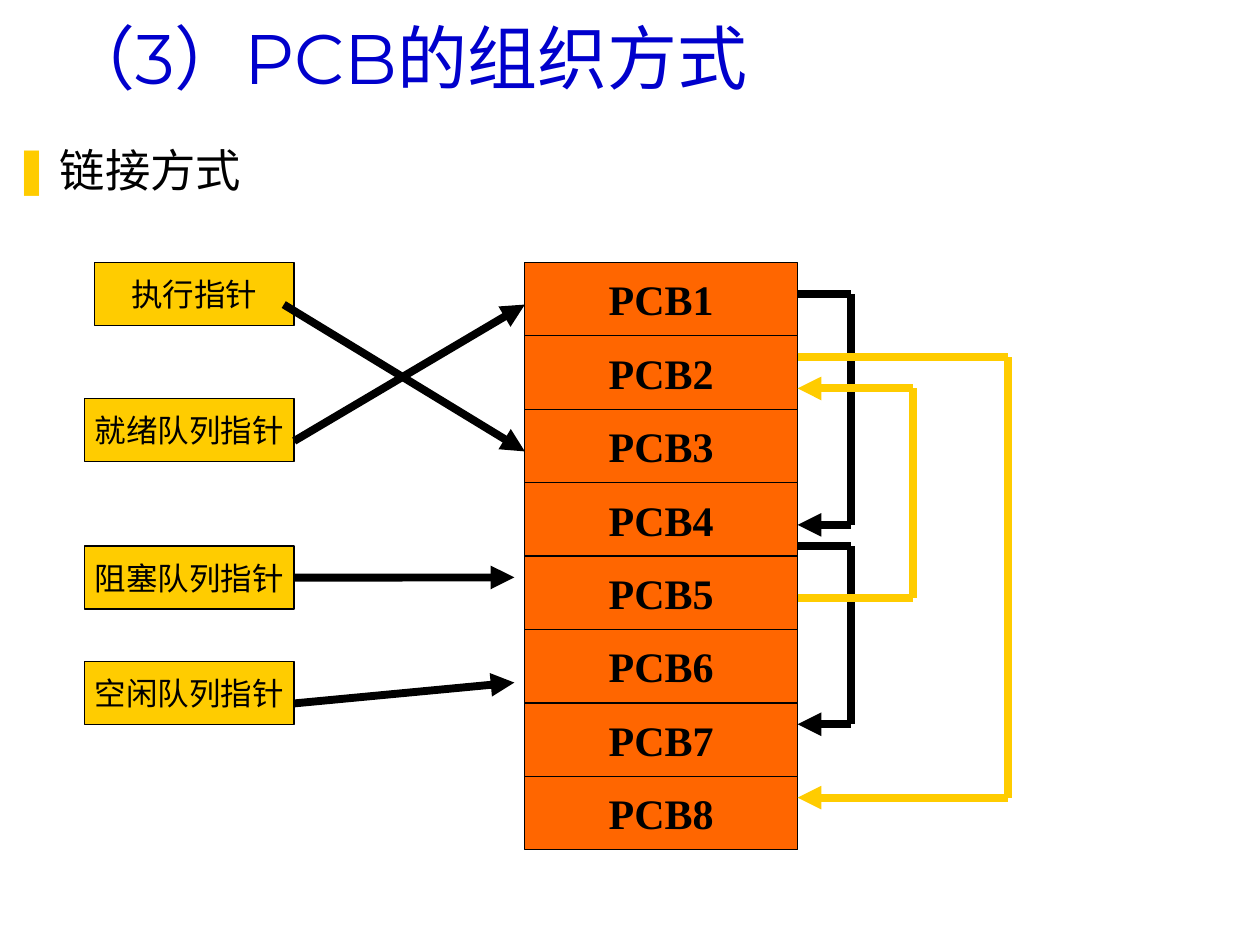
import pptx
import pptx.util
import pptx.dml.color
import pptx.enum.shapes
import pptx.enum.text
import pptx.oxml
import pptx.oxml.ns

Cm = pptx.util.Cm
Pt = pptx.util.Pt

BLACK, BLUE, ORANGE, YELLOW = "000000", "0000CC", "FF6600", "FFCC00"

TITLE = "（3）PCB的组织方式"
TOPIC = "链接方式"

BLOCKS = [f"PCB{number}" for number in range(1, 9)]
BLOCK_LEFT, BLOCK_TOP, BLOCK_WIDTH, BLOCK_HEIGHT = 10.58, 5.29, 5.5, 1.48
BLOCK_RIGHT = BLOCK_LEFT + BLOCK_WIDTH

POINTER_RIGHT, POINTER_HEIGHT = 5.93, 1.27
POINTERS = [
    ("执行指针", 5.29, 4.02, (5.72, 6.14), (BLOCK_LEFT, 9.1)),
    ("就绪队列指针", 8.04, 4.23, (POINTER_RIGHT, 8.89), (BLOCK_LEFT, 6.14)),
    ("阻塞队列指针", 11.01, 4.23, None, (10.37, 11.64)),
    ("空闲队列指针", 13.33, 4.23, (POINTER_RIGHT, 14.18), (10.37, 13.76)),
]

LINKS = [
    (5.93, 10.58, 17.15, BLACK),
    (11.01, 14.6, 17.15, BLACK),
    (12.06, 7.83, 18.41, YELLOW),
    (7.2, 16.08, 20.32, YELLOW),
]


def color(value):
    return pptx.dml.color.RGBColor.from_string(value)


def format_text(frame, font, size, value, bold=False):
    for para in frame.paragraphs:
        for span in para.runs:
            span.font.name = font
            span.font.size = Pt(size)
            span.font.bold = bold
            span.font.color.rgb = color(value)


def place(shape, left, top, width, height):
    shape.left, shape.top = Cm(left), Cm(top)
    shape.width, shape.height = Cm(width), Cm(height)


def add_element(parent, xml):
    namespace = pptx.oxml.ns.nsdecls("a")
    element = pptx.oxml.parse_xml(xml.replace("/>", f" {namespace}/>"))
    parent.append(element)
    return element


def add_box(page, text, left, top, width, height, fill, size, bold=False):
    box = page.shapes.add_shape(
        pptx.enum.shapes.MSO_SHAPE.RECTANGLE, Cm(left), Cm(top), Cm(width), Cm(height))
    box.shadow.inherit = False
    box.fill.solid()
    box.fill.fore_color.rgb = color(fill)
    box.line.color.rgb = color(BLACK)
    box.line.width = Pt(0.75)
    frame = box.text_frame
    frame.text = text
    frame.word_wrap = False
    frame.vertical_anchor = pptx.enum.text.MSO_ANCHOR.MIDDLE
    frame.paragraphs[0].alignment = pptx.enum.text.PP_ALIGN.CENTER
    format_text(frame, "Times New Roman", size, BLACK, bold)
    return box


def add_line(page, start, end, value, arrow=False):
    line = page.shapes.add_connector(
        pptx.enum.shapes.MSO_CONNECTOR.STRAIGHT, *(Cm(length) for length in start + end))
    line.line.color.rgb = color(value)
    line.line.width = Pt(4.5)
    if arrow:
        add_element(line.line._get_or_add_ln(), '<a:tailEnd type="triangle"/>')
    add_element(line._element.spPr, "<a:effectLst/>")
    return line


def add_link(page, start, end, reach, value):
    corners = [(BLOCK_RIGHT, start), (reach, start), (reach, end), (BLOCK_RIGHT, end)]
    for index in range(3):
        add_line(page, corners[index], corners[index + 1], value, arrow=index == 2)


def add_heading(page):
    title = page.shapes.title
    place(title, 1.06, 0, 21.59, 2.12)
    frame = title.text_frame
    frame.text = TITLE
    frame.auto_size = pptx.enum.text.MSO_AUTO_SIZE.NONE
    frame.vertical_anchor = pptx.enum.text.MSO_ANCHOR.BOTTOM
    frame.paragraphs[0].alignment = pptx.enum.text.PP_ALIGN.LEFT
    format_text(frame, "Montserrat", 40, BLUE)


def add_topic(page):
    body = page.placeholders[1]
    place(body, 0, 2.96, 25.4, 2.33)
    frame = body.text_frame
    frame.text = TOPIC
    frame.auto_size = pptx.enum.text.MSO_AUTO_SIZE.NONE
    para = frame.paragraphs[0]
    properties = para._p.get_or_add_pPr()
    properties.set("marL", str(Cm(0.95)))
    properties.set("indent", str(Cm(-0.95)))
    bullet_color = add_element(properties, "<a:buClr/>")
    add_element(bullet_color, f'<a:srgbClr val="{YELLOW}"/>')
    add_element(properties, '<a:buChar char="❚"/>')
    para.line_spacing = 0.8
    para.space_before = Pt(0)
    format_text(frame, "Roboto", 25.9, BLACK)


def main():
    deck = pptx.Presentation()
    deck.slide_width, deck.slide_height = Cm(25.4), Cm(19.05)
    page = deck.slides.add_slide(deck.slide_layouts[1])
    add_heading(page)
    add_topic(page)

    for row, name in enumerate(BLOCKS):
        add_box(page, name, BLOCK_LEFT, BLOCK_TOP + row * BLOCK_HEIGHT,
                BLOCK_WIDTH, BLOCK_HEIGHT, ORANGE, 24, bold=True)

    for name, top, width, start, end in POINTERS:
        box = add_box(page, name, POINTER_RIGHT - width, top, width, POINTER_HEIGHT, YELLOW, 18)
        middle = (POINTER_RIGHT, top + POINTER_HEIGHT / 2)
        arrow = add_line(page, start or middle, end, BLACK, arrow=True)
        if start is None:
            arrow.begin_connect(box, 3)

    for link in LINKS:
        add_link(page, *link)

    deck.save("out.pptx")


if __name__ == "__main__":
    main()
